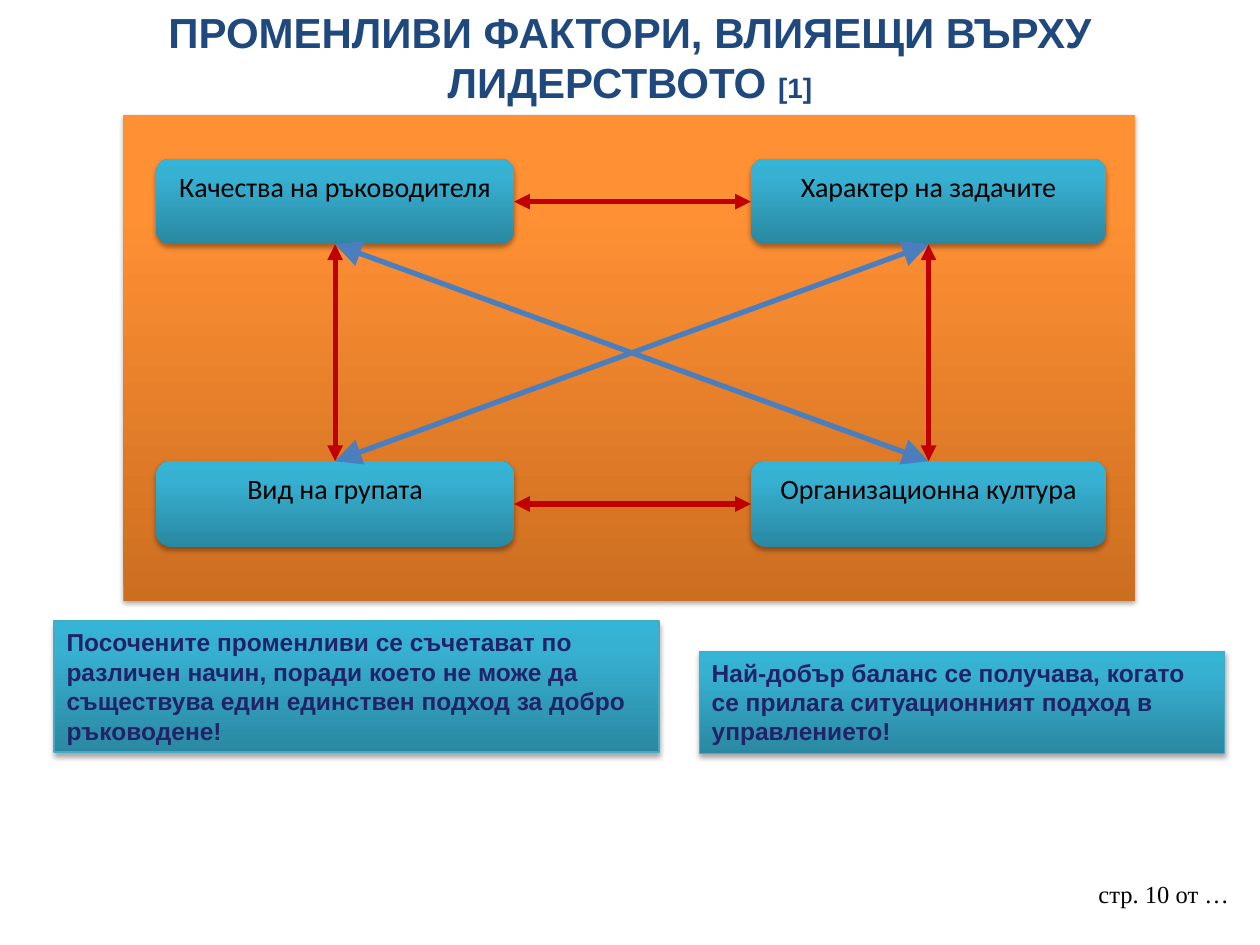
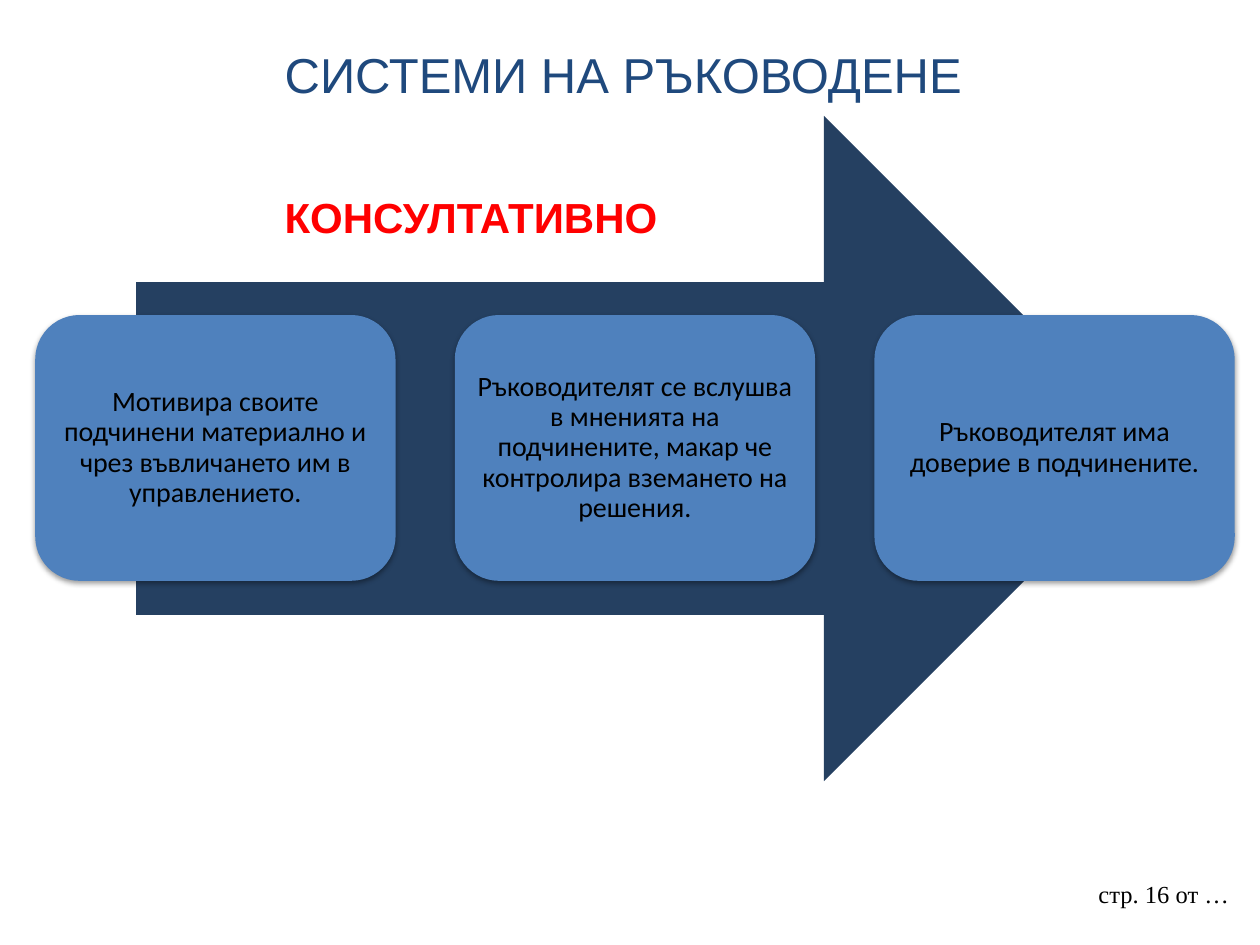
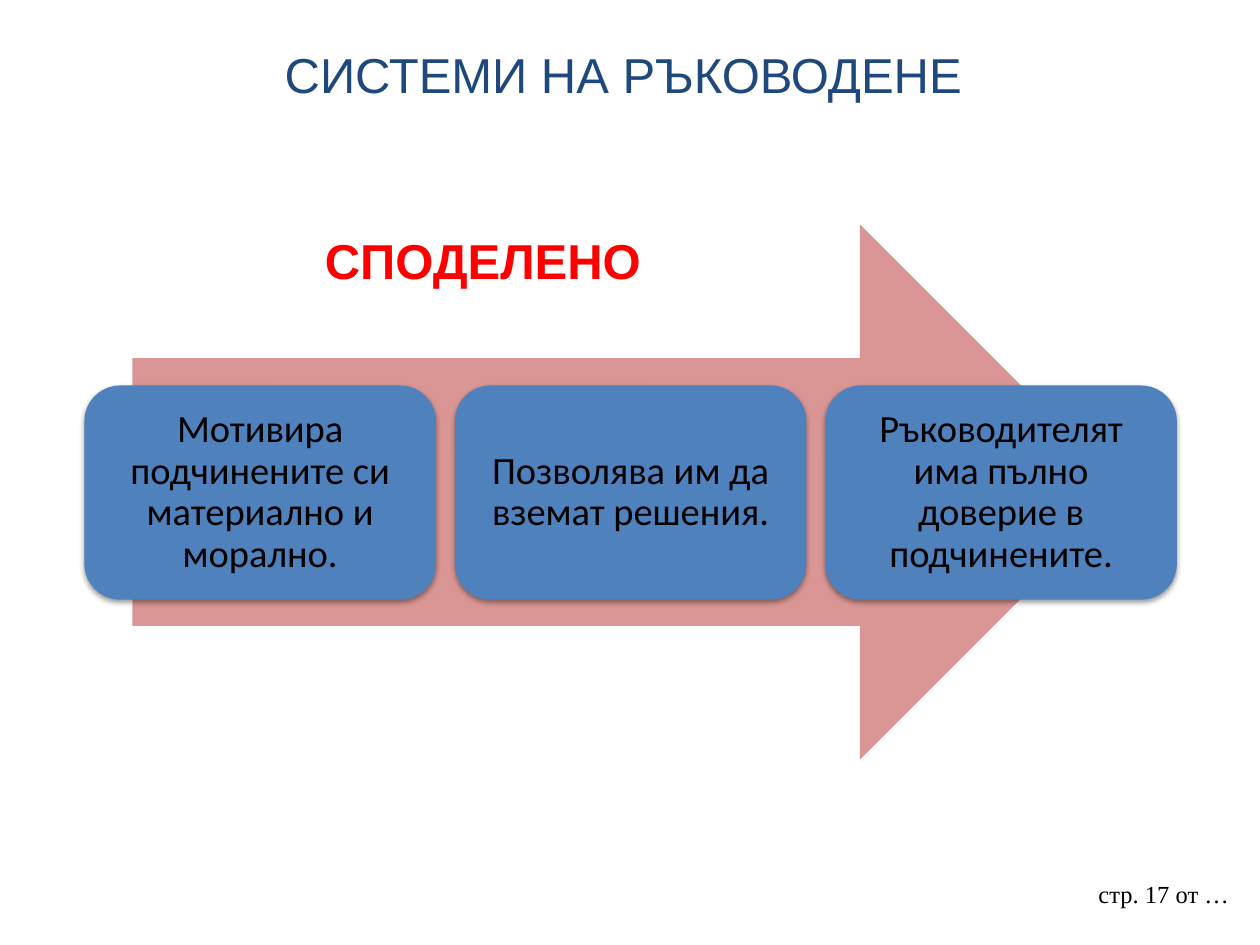
from copy import deepcopy
from dataclasses import dataclass
from typing import NamedTuple

from lxml import etree
from pptx import Presentation
from pptx.dml.color import RGBColor
from pptx.enum.shapes import MSO_CONNECTOR, MSO_SHAPE
from pptx.enum.text import MSO_ANCHOR, PP_ALIGN
from pptx.oxml.ns import qn
from pptx.shapes.autoshape import Shape
from pptx.slide import Slide
from pptx.util import Emu, Inches, Pt

RECT = MSO_SHAPE.RECTANGLE
ROUND = MSO_SHAPE.ROUNDED_RECTANGLE
ARROW = MSO_SHAPE.RIGHT_ARROW
STRAIGHT = MSO_CONNECTOR.STRAIGHT
LEFT, CENTER = PP_ALIGN.LEFT, PP_ALIGN.CENTER
TOP, MIDDLE = MSO_ANCHOR.TOP, MSO_ANCHOR.MIDDLE

# Connection sites of a rectangle
UP_SIDE, LEFT_SIDE, DOWN_SIDE, RIGHT_SIDE = range(4)

COLORS = {
    "black": "000000",
    "title": "1F497D",
    "red": "FF0000",
    "note": "222268",
    "edge": "46AAC5",
    "step": "4F81BD",
    "navy": "254061",
    "pink": "D99694",
    "side": "C00000",
    "cross": "4B7EBC",
}
STOPS = (0, 0.8, 1)
ORANGE = ("CC6E20", "FF9034", "FF9136")
TEAL = ("2A88A2", "37B1D2", "34B4D6")


class Area(NamedTuple):
    left: float
    top: float
    width: float
    height: float

    def place(self) -> list[Emu]:
        return [Inches(length) for length in self]


class Label(NamedTuple):
    text: str
    area: Area
    size: int


@dataclass
class System:
    """One management system: a heading over an arrow with three steps."""
    page: int
    head: Label
    arrow: Area
    color: str
    first: Area
    gap: float
    size: int
    inset: float
    steps: tuple[str, ...]


def write(shape: Shape, *parts: tuple[str, int], font: str = "Arial",
          color: str = "black", bold: bool = False,
          align: PP_ALIGN = LEFT, anchor: MSO_ANCHOR = TOP,
          inset: float | None = None, space: float = 1) -> None:
    """Fill a shape with one paragraph of (text, size) parts."""
    frame = shape.text_frame
    frame.word_wrap = True
    frame.vertical_anchor = anchor
    if inset is not None:
        frame.margin_left = frame.margin_right = Inches(inset)
        frame.margin_top = frame.margin_bottom = Inches(inset)
    para = frame.paragraphs[0]
    para.alignment = align
    para.line_spacing = space
    for text, size in parts:
        run = para.add_run()
        run.text = text
        run.font.name = font
        run.font.size = Pt(size)
        run.font.bold = bold
        run.font.color.rgb = RGBColor.from_string(COLORS[color])


def add_text(slide: Slide, area: Area, *parts: tuple[str, int],
             **style) -> None:
    write(slide.shapes.add_textbox(*area.place()), *parts, **style)


def add_form(slide: Slide, kind: MSO_SHAPE, area: Area) -> Shape:
    """Add a shape with neither line nor shadow."""
    form = slide.shapes.add_shape(kind, *area.place())
    form.shadow.inherit = False
    form.line.fill.background()
    return form


def paint(form: Shape, color: str) -> None:
    form.fill.solid()
    form.fill.fore_color.rgb = RGBColor.from_string(COLORS[color])


def blend(form: Shape, shades: tuple[str, ...]) -> None:
    """Fill with a gradient that runs from bottom to top."""
    form.fill.gradient()
    form.fill.gradient_angle = 90
    stops = form._element.spPr.find(".//" + qn("a:gsLst"))
    stops.append(deepcopy(stops[-1]))
    for stop, shade, place in zip(form.fill.gradient_stops, shades, STOPS):
        stop.color.rgb = RGBColor.from_string(shade)
        stop.position = place


def shade(form: Shape, dist: float, alpha: int) -> None:
    """Drop a soft shadow straight down."""
    effects = form._element.spPr.find(qn("a:effectLst"))
    shadow = etree.SubElement(
        effects, qn("a:outerShdw"), blurRad=str(Pt(3.1)),
        dist=str(Pt(dist)), dir="5400000", rotWithShape="0")
    tint = etree.SubElement(shadow, qn("a:srgbClr"), val=COLORS["black"])
    etree.SubElement(tint, qn("a:alpha"), val=str(alpha * 1000))


def add_block(slide: Slide, kind: MSO_SHAPE, area: Area,
              shades: tuple[str, ...]) -> Shape:
    block = add_form(slide, kind, area)
    blend(block, shades)
    shade(block, 1.8, 35)
    return block


def link(slide: Slide, start: Shape, out: int, end: Shape, into: int,
         color: str, head: str) -> None:
    """Join two shapes with a double-headed arrow."""
    line = slide.shapes.add_connector(STRAIGHT, 0, 0, 0, 0)
    line.begin_connect(start, out)
    line.end_connect(end, into)
    line.line.width = Pt(3)
    line.line.color.rgb = RGBColor.from_string(COLORS[color])
    props = line._element.spPr
    for tag in ("a:headEnd", "a:tailEnd"):
        etree.SubElement(props.find(qn("a:ln")), qn(tag),
                         type="triangle", w=head, len=head)
    etree.SubElement(props, qn("a:effectLst"))


def add_page(deck: Presentation, page: int) -> Slide:
    slide = deck.slides.add_slide(deck.slide_layouts[6])
    add_text(slide, Area(8.62, 6.93, 1.3, 0.52), (f"стр. {page} от …", 14),
             font="Times New Roman")
    return slide


def draw_factors(deck: Presentation) -> None:
    slide = add_page(deck, 10)
    add_block(slide, RECT, Area(0.98, 0.91, 8.03, 3.86), ORANGE)

    names = (("Качества на ръководителя", "Характер на задачите"),
             ("Вид на групата", "Организационна култура"))
    boxes = []
    for top, row in zip((1.26, 3.66), names):
        for (left, width), name in zip(((1.24, 2.84), (5.96, 2.82)), row):
            box = add_block(slide, ROUND, Area(left, top, width, 0.68), TEAL)
            write(box, (name, 16), font="Calibri", align=CENTER)
            boxes.append(box)

    lead, task, group, culture = boxes
    for start, end in ((lead, task), (group, culture)):
        link(slide, start, RIGHT_SIDE, end, LEFT_SIDE, "side", "med")
    for start, end in ((lead, group), (task, culture)):
        link(slide, start, DOWN_SIDE, end, UP_SIDE, "side", "med")
    for start, end in ((task, group), (lead, culture)):
        link(slide, start, DOWN_SIDE, end, UP_SIDE, "cross", "lg")

    add_text(slide, Area(0, 0, 10, 0.94),
             ("ПРОМЕНЛИВИ ФАКТОРИ, ВЛИЯЕЩИ ВЪРХУ ЛИДЕРСТВОТО ", 24),
             ("[1]", 16), color="title", bold=True, align=CENTER)

    notes = (
        Label("Най-добър баланс се получава, когато се прилага "
              "ситуационният подход в управлението!",
              Area(5.55, 5.17, 4.17, 0.81), 14),
        Label("Посочените променливи се съчетават по различен начин, "
              "поради което не може да съществува един единствен подход "
              "за добро ръководене!", Area(0.43, 4.93, 4.8, 1.04), 14),
    )
    for note in notes:
        block = add_block(slide, RECT, note.area, TEAL)
        block.line.color.rgb = RGBColor.from_string(COLORS["edge"])
        block.line.width = Pt(0.75)
        write(block, (note.text, note.size), color="note", bold=True)


def draw_system(deck: Presentation, system: System) -> None:
    slide = add_page(deck, system.page)
    add_text(slide, Area(0.5, 0.3, 9, 1.25), ("СИСТЕМИ НА РЪКОВОДЕНЕ ", 28),
             color="title", align=CENTER)
    paint(add_form(slide, ARROW, system.arrow), system.color)

    first = system.first
    for index, text in enumerate(system.steps):
        left = first.left + index * (first.width + system.gap)
        step = add_form(slide, ROUND, first._replace(left=left))
        paint(step, "step")
        shade(step, 1.6, 38)
        write(step, (text, system.size), font="Calibri", align=CENTER,
              anchor=MIDDLE, inset=system.inset, space=0.9)

    head = system.head
    add_text(slide, head.area, (head.text, head.size), color="red", bold=True)


SYSTEMS = (
    System(
        page=16,
        head=Label("КОНСУЛТАТИВНО", Area(2.16, 1.47, 3.78, 0.5), 24),
        arrow=Area(1.08, 0.92, 8.1, 5.28), color="navy",
        first=Area(0.28, 2.5, 2.86, 2.11), gap=0.47, size=16, inset=0.07,
        steps=(
            "Мотивира своите подчинени материално и чрез въвличането им "
            "в управлението.",
            "Ръководителят се вслушва в мненията на подчинените, макар че "
            "контролира вземането на решения.",
            "Ръководителят има доверие в подчинените.",
        )),
    System(
        page=17,
        head=Label("СПОДЕЛЕНО", Area(2.48, 1.78, 3.31, 0.57), 28),
        arrow=Area(1.05, 1.78, 7.9, 4.25), color="pink",
        first=Area(0.67, 3.06, 2.79, 1.7), gap=0.15, size=22, inset=0.09,
        steps=(
            "Мотивира подчинените си материално и морално.",
            "Позволява им да вземат решения.",
            "Ръководителят има пълно доверие в подчинените.",
        )),
)


def main() -> None:
    deck = Presentation()
    deck.slide_width, deck.slide_height = Inches(10), Inches(7.5)
    draw_factors(deck)
    for system in SYSTEMS:
        draw_system(deck, system)
    deck.save("out.pptx")


if __name__ == "__main__":
    main()
